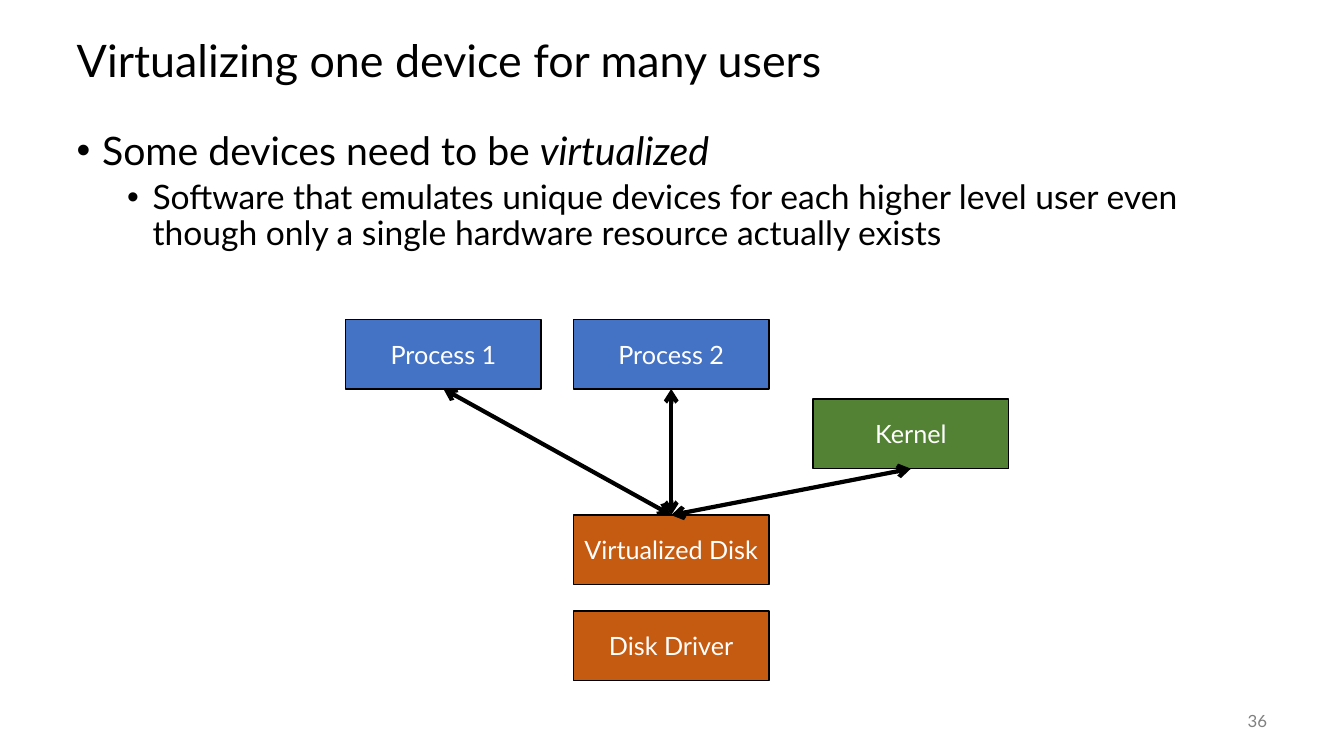
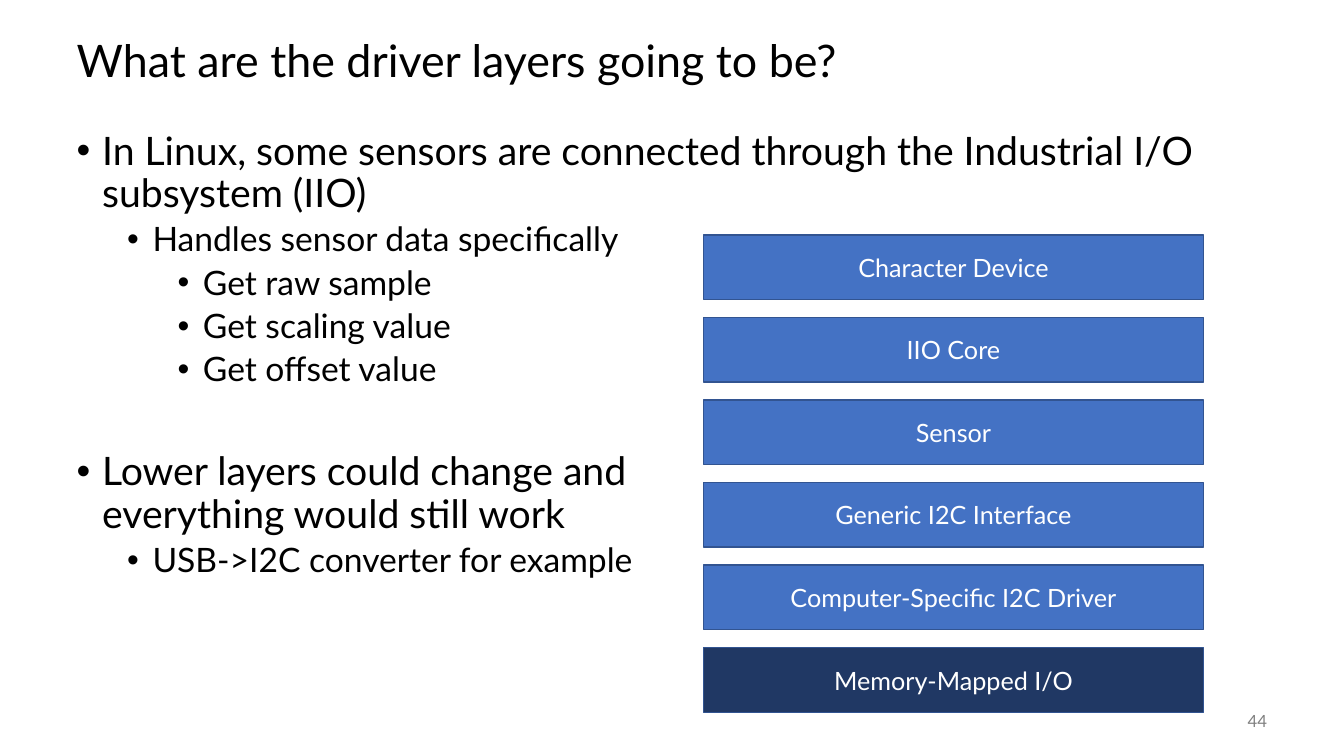
"""Builds two lecture slides on device virtualization and driver layers."""

from dataclasses import dataclass

from lxml.etree import SubElement
from pptx import Presentation
from pptx.dml.color import RGBColor
from pptx.enum.shapes import MSO_CONNECTOR as Connector, MSO_SHAPE as Preset
from pptx.enum.text import MSO_ANCHOR as Anchor, MSO_AUTO_SIZE as AutoSize, PP_ALIGN as Align
from pptx.oxml.ns import qn
from pptx.util import Cm, Pt


@dataclass(frozen=True)
class Theme:
    """Colours, font and type sizes shared by the slides."""

    font: str = "Lato"
    ink: str = "000000"
    light: str = "FFFFFF"
    muted: str = "808080"
    blue: str = "4472C4"
    blue_edge: str = "325491"
    navy: str = "203864"
    green: str = "548235"
    orange: str = "C55A11"
    title_size: int = 32
    list_sizes: tuple = (28, 24, 24)
    list_gaps: tuple = (14, 5, 5)
    label_size: int = 18
    number_size: int = 12
    line_spacing: float = 0.9


@dataclass(frozen=True)
class Box:
    """A rectangle in centimetres."""

    left: float
    top: float
    width: float
    height: float

    def inner(self, left, top, width, height):
        """Return a box placed relative to this one."""
        return Box(self.left + left, self.top + top, width, height)

    def lengths(self):
        """Return the four lengths for python-pptx."""
        return Cm(self.left), Cm(self.top), Cm(self.width), Cm(self.height)


THEME = Theme()
SLIDE = Box(0, 0, 33.87, 19.05)
TITLE = SLIDE.inner(1.68, 0.64, 30.48, 1.9)
BODY = SLIDE.inner(1.68, 3.18, 30.48, 13.97)
NUMBER = SLIDE.inner(29.64, 17.65, 2.54, 1.02)
DIAGRAM = SLIDE.inner(8.71, 8.05, 16.71, 9.1)
STACK = SLIDE.inner(17.73, 5.92, 12.6, 12.03)


def add_span(para, text, size, color, italic=False):
    """Add one formatted run."""
    span = para.add_run()
    span.text = text
    span.font.name = THEME.font
    span.font.size = Pt(size)
    span.font.italic = italic
    span.font.color.rgb = RGBColor.from_string(color)


def place(shape, box):
    """Move a placeholder into a box."""
    shape.left, shape.top, shape.width, shape.height = box.lengths()
    shape.text_frame.word_wrap = True
    shape.text_frame.auto_size = AutoSize.NONE


def set_bullet(para, level):
    """Give a paragraph its level, hanging indent and round bullet."""
    para.level = level
    properties = para._p.get_or_add_pPr()
    properties.set("marL", str(Cm(0.64 + 1.27 * level)))
    properties.set("indent", str(-Cm(0.64)))
    SubElement(properties, qn("a:buFont")).set("typeface", "Arial")
    SubElement(properties, qn("a:buChar")).set("char", "•")


def fill_title(shape, box, text):
    """Place and write the title."""
    place(shape, box)
    shape.text_frame.vertical_anchor = Anchor.MIDDLE
    para = shape.text_frame.paragraphs[0]
    para.alignment = Align.LEFT
    para.line_spacing = THEME.line_spacing
    add_span(para, text, THEME.title_size, THEME.ink)


def fill_list(shape, box, items):
    """Write bullets from (level, lines of (text, italic) runs, extra gap) items."""
    place(shape, box)
    frame = shape.text_frame
    frame.vertical_anchor = Anchor.TOP
    for index, (level, lines, extra_gap) in enumerate(items):
        para = frame.add_paragraph() if index else frame.paragraphs[0]
        set_bullet(para, level)
        para.alignment = Align.LEFT
        para.line_spacing = THEME.line_spacing
        para.space_before = Pt(THEME.list_gaps[level] + extra_gap if index else 0)
        para.space_after = Pt(0)
        for row, runs in enumerate(lines):
            if row:
                para.add_line_break()
            for text, italic in runs:
                add_span(para, text, THEME.list_sizes[level], THEME.ink, italic)


def add_number(page, box, number):
    """Write the slide number."""
    frame = page.shapes.add_textbox(*box.lengths()).text_frame
    frame.word_wrap = True
    frame.vertical_anchor = Anchor.MIDDLE
    para = frame.paragraphs[0]
    para.alignment = Align.RIGHT
    add_span(para, str(number), THEME.number_size, THEME.muted)


def add_block(page, box, label, fill, edge):
    """Draw a labelled rectangle."""
    block = page.shapes.add_shape(Preset.RECTANGLE, *box.lengths())
    block.shadow.inherit = False
    block.fill.solid()
    block.fill.fore_color.rgb = RGBColor.from_string(fill)
    block.line.color.rgb = RGBColor.from_string(edge)
    block.line.width = Pt(1)
    frame = block.text_frame
    frame.word_wrap = True
    frame.margin_left = frame.margin_right = Cm(0.1)
    frame.vertical_anchor = Anchor.MIDDLE
    para = frame.paragraphs[0]
    para.alignment = Align.CENTER
    add_span(para, label, THEME.label_size, THEME.light)
    return block


def add_double_arrow(page, lower, upper):
    """Join the top of one block to the bottom of another."""
    arrow = page.shapes.add_connector(Connector.STRAIGHT, 0, 0, 0, 0)
    arrow.begin_connect(lower, 0)
    arrow.end_connect(upper, 2)
    arrow.line.color.rgb = RGBColor.from_string(THEME.ink)
    arrow.line.width = Pt(3)
    stroke = arrow.line._get_or_add_ln()
    for end in ("a:headEnd", "a:tailEnd"):
        SubElement(stroke, qn(end)).set("type", "arrow")
    SubElement(arrow._element.spPr, qn("a:effectLst"))


def add_page(deck, title, items, number):
    """Add a slide with title, list and number."""
    page = deck.slides.add_slide(deck.slide_layouts[1])
    fill_title(page.shapes.title, TITLE, title)
    fill_list(page.placeholders[1], BODY, items)
    add_number(page, NUMBER, number)
    return page


def draw_virtual_disk(page, box):
    """Draw the users sharing one virtualized disk."""
    width, height = 4.93, 1.75
    middle, right = 5.74, box.width - width
    nodes = (
        ("Process 1", 0, 0, THEME.blue),
        ("Process 2", middle, 0, THEME.blue),
        ("Kernel", right, 2.01, THEME.green),
        ("Disk Driver", middle, box.height - height, THEME.orange),
        ("Virtualized Disk", middle, 4.93, THEME.orange),
    )
    blocks = {
        label: add_block(page, box.inner(left, top, width, height), label, fill, THEME.ink)
        for label, left, top, fill in nodes
    }
    for user in ("Process 1", "Process 2", "Kernel"):
        add_double_arrow(page, blocks["Virtualized Disk"], blocks[user])


def draw_stack(page, box, layers):
    """Draw evenly spaced layers, the last one dark."""
    height = 1.63
    step = (box.height - height) / (len(layers) - 1)
    for index, label in enumerate(layers):
        fill = THEME.navy if label == layers[-1] else THEME.blue
        row = box.inner(0, index * step, box.width, height)
        add_block(page, row, label, fill, THEME.blue_edge)


def bullet(level, *lines, extra_gap=0):
    """Describe a bullet made of plain lines."""
    return level, [[(line, False)] for line in lines], extra_gap


def build_virtualizing(deck):
    """Build the slide on sharing one device."""
    items = (
        (0, [[("Some devices need to be ", False), ("virtualized", True)]], 0),
        bullet(1, "Software that emulates unique devices for each higher level user "
                  "even though only a single hardware resource actually exists"),
    )
    page = add_page(deck, "Virtualizing one device for many users", items, 36)
    draw_virtual_disk(page, DIAGRAM)


def build_layers(deck):
    """Build the slide on driver layers."""
    items = (
        bullet(0, "In Linux, some sensors are connected through the Industrial I/O subsystem (IIO)"),
        bullet(1, "Handles sensor data specifically"),
        bullet(2, "Get raw sample"),
        bullet(2, "Get scaling value"),
        bullet(2, "Get offset value"),
        bullet(0, "Lower layers could change and", "everything would still work", extra_gap=31),
        bullet(1, "USB->I2C converter for example"),
    )
    page = add_page(deck, "What are the driver layers going to be?", items, 44)
    draw_stack(page, STACK, (
        "Character Device",
        "IIO Core",
        "Sensor",
        "Generic I2C Interface",
        "Computer-Specific I2C Driver",
        "Memory-Mapped I/O",
    ))


def main():
    """Build and save the deck."""
    deck = Presentation()
    deck.slide_width, deck.slide_height = Cm(SLIDE.width), Cm(SLIDE.height)
    build_virtualizing(deck)
    build_layers(deck)
    deck.save("out.pptx")


if __name__ == "__main__":
    main()
